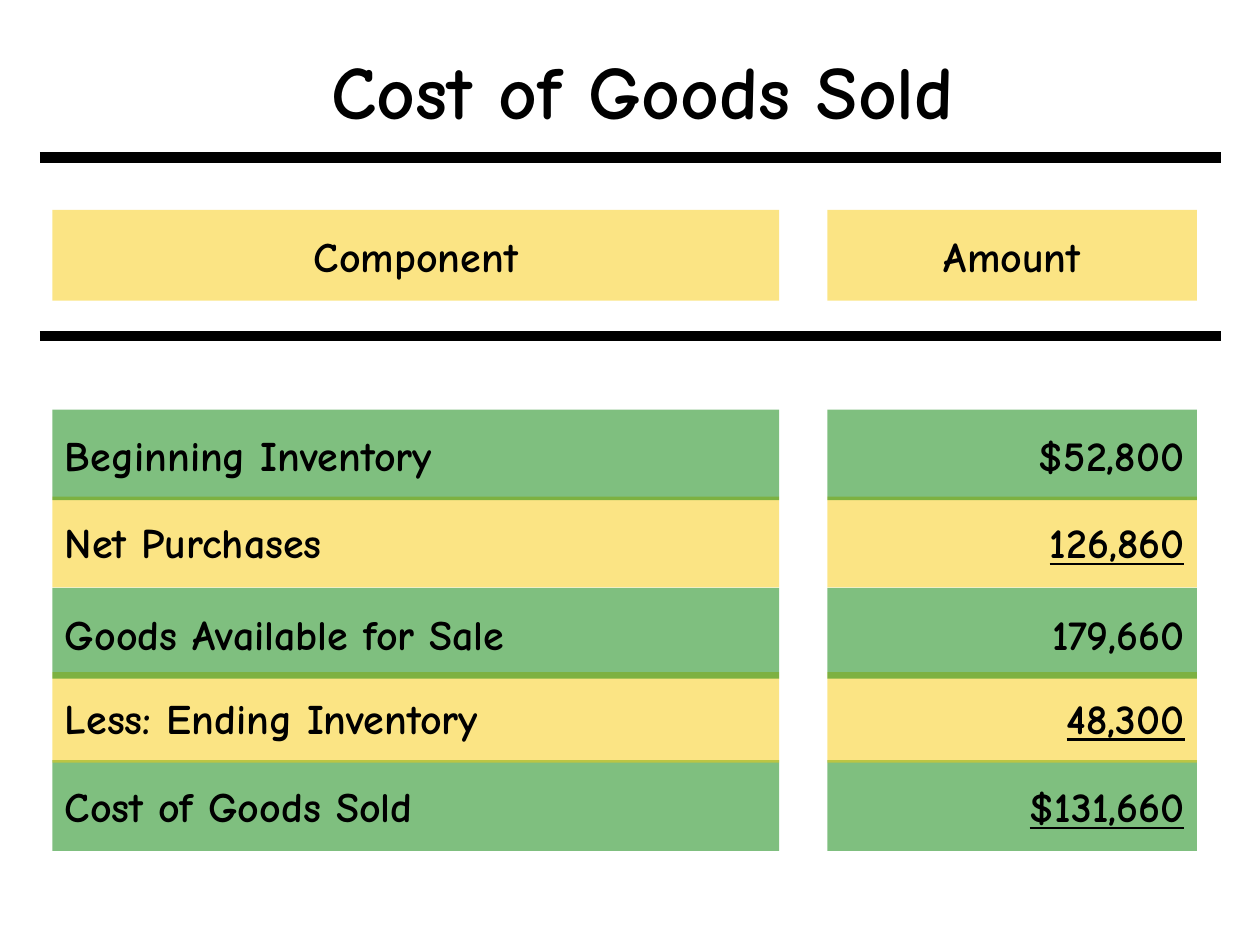
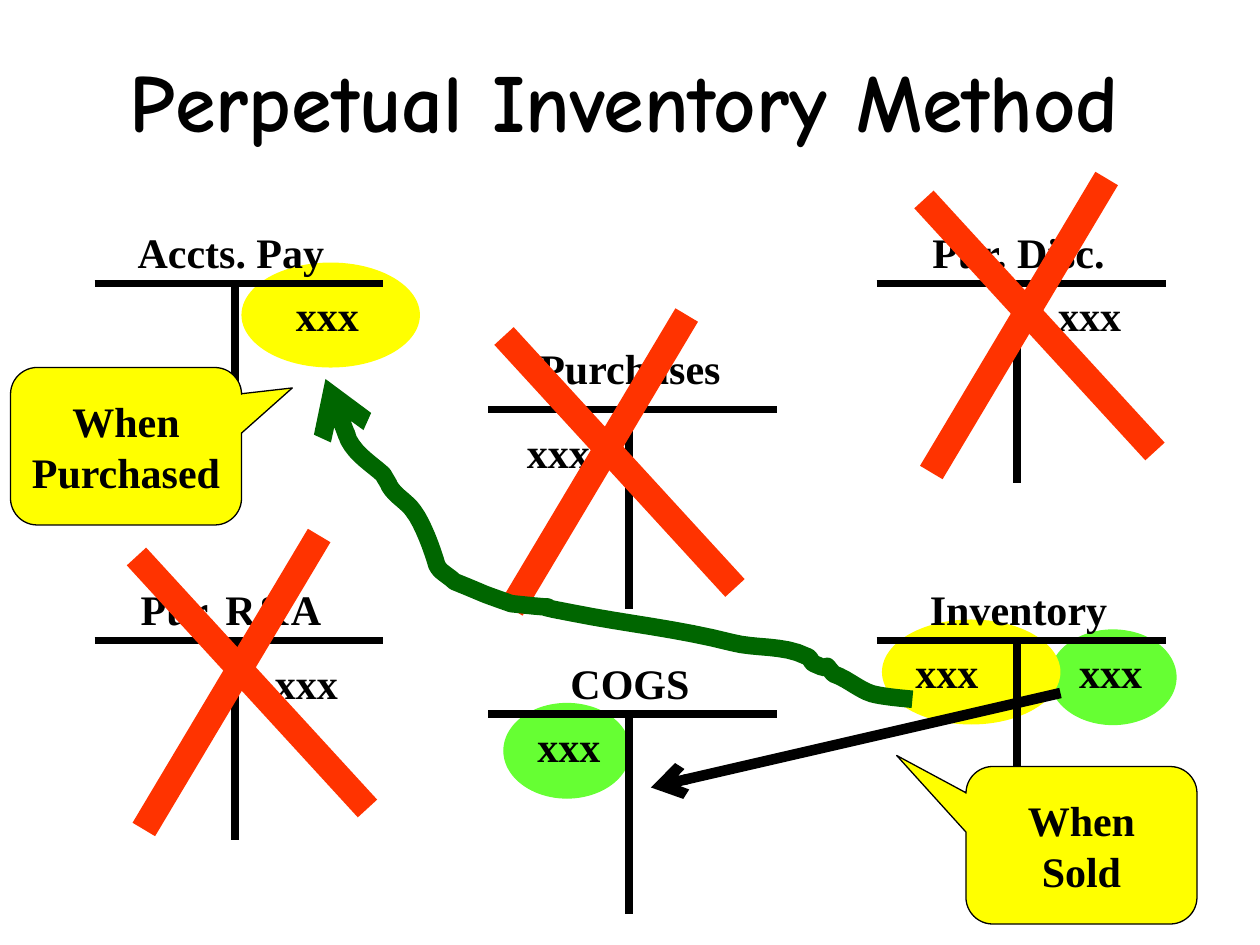
"""Build two slides on the cost of goods sold and the perpetual inventory method."""
import lxml.etree
import pptx
import pptx.dml.color
import pptx.enum.shapes
import pptx.enum.text
import pptx.oxml.ns
import pptx.util

RGB = pptx.dml.color.RGBColor
SHAPE = pptx.enum.shapes.MSO_SHAPE
ALIGN = pptx.enum.text.PP_ALIGN
ANCHOR = pptx.enum.text.MSO_ANCHOR

BLACK = RGB(0x00, 0x00, 0x00)
GREEN = RGB(0x00, 0x80, 0x00)
GOLD = RGB(0xF8, 0xCB, 0x0A)
LIME = RGB(0x66, 0xFF, 0x33)
YELLOW = RGB(0xFF, 0xFF, 0x00)
RED = RGB(0xFF, 0x33, 0x00)
FOREST = RGB(0x00, 0x66, 0x00)

COLS, ROWS = 120, 90
COMIC, TIMES = "Comic Neue", "Times New Roman"


def add_node(parent, tag, **attrs):
    return lxml.etree.SubElement(parent, pptx.oxml.ns.qn(tag), attrs)


class Deck:
    """Hold the style and the current slide, and draw on a grid of cells."""

    def __init__(self):
        self.prs = pptx.Presentation()
        self.prs.slide_width = pptx.util.Inches(10)
        self.prs.slide_height = pptx.util.Inches(7.5)
        self.wide = self.prs.slide_width / COLS
        self.high = self.prs.slide_height / ROWS
        self.slide = None

    def start(self):
        self.slide = self.prs.slides.add_slide(self.prs.slide_layouts[6])

    def size(self, *cells):
        return [round(n * (self.high if i % 2 else self.wide)) for i, n in enumerate(cells)]

    def label(self, shape, text, font=TIMES, size=24, align=ALIGN.CENTER,
              anchor=ANCHOR.MIDDLE, under=None):
        frame = shape.text_frame
        for key, val in {"word_wrap": True, "vertical_anchor": anchor}.items():
            setattr(frame, key, val)
        para = frame.paragraphs[0]
        para.alignment = align
        run = para.add_run()
        run.text = text
        style = {"name": font, "size": pptx.util.Pt(size), "bold": True, "underline": under}
        for key, val in style.items():
            setattr(run.font, key, val)
        run.font.color.rgb = BLACK

    def text(self, box, words, **style):
        self.label(self.slide.shapes.add_textbox(*self.size(*box)), words, **style)

    def title(self, box, words, size):
        self.text(box, words, font=COMIC, size=size)

    def block(self, kind, box, fill, edge=None, alpha=None):
        shape = self.slide.shapes.add_shape(kind, *self.size(*box))
        shape.shadow.inherit = False
        shape.fill.solid()
        shape.fill.fore_color.rgb = fill
        if alpha:
            tint = shape.element.spPr.find(".//" + pptx.oxml.ns.qn("a:srgbClr"))
            add_node(tint, "a:alpha", val=str(alpha * 1000))
        if edge is None:
            shape.line.fill.background()
        else:
            self.stroke(shape, edge, 0.75)
        return shape

    def stroke(self, shape, color, width, arrow=False):
        shape.line.color.rgb = color
        shape.line.width = pptx.util.Pt(width)
        if arrow:
            line = shape.element.spPr.find(pptx.oxml.ns.qn("a:ln"))
            add_node(line, "a:tailEnd", type="arrow")

    def line(self, ends, color=BLACK, width=4.5, arrow=False):
        kind = pptx.enum.shapes.MSO_CONNECTOR.STRAIGHT
        link = self.slide.shapes.add_connector(kind, *self.size(*ends))
        self.stroke(link, color, width, arrow)
        add_node(link.element.spPr, "a:effectLst")

    def curve(self, start, parts, color, width, steps=8):
        dots, last = [], start
        for c1, c2, end in parts:
            for step in range(1, steps + 1):
                t = step / steps
                u = 1 - t
                dots.append(tuple(self.size(*(
                    u**3 * a + 3 * u * u * t * b + 3 * u * t * t * c + t**3 * d
                    for a, b, c, d in zip(last, c1, c2, end)))))
            last = end
        pen = self.slide.shapes.build_freeform(*self.size(*start))
        pen.add_line_segments(dots, close=False)
        shape = pen.convert_to_shape()
        shape.shadow.inherit = False
        shape.fill.background()
        self.stroke(shape, color, width, arrow=True)

    def band(self, top, fill, cells, aligns, under=None):
        for (left, wide), words, align in zip(((5, 69.2), (78.8, 35.2)), cells, aligns):
            shape = self.block(SHAPE.RECTANGLE, (left, top, wide, 8.64), fill, alpha=50)
            line = under if align == ALIGN.RIGHT else None
            self.label(shape, words, font=COMIC, align=align, under=line)

    def account(self, name, left, top, spot):
        mid = left + 13.4
        self.line((mid, top, mid, top + 19))
        self.line((left, top, left + 27.5, top))
        self.text((*spot, 24, 6), name, anchor=ANCHOR.TOP)

    def cross(self, x, y):
        self.line((x, y, x + 22, y + 24), RED, 15)
        self.line((x + 17.4, y - 2, x + 0.7, y + 26), RED, 15)

    def callout(self, spot, words, tip):
        shape = self.block(SHAPE.ROUNDED_RECTANGULAR_CALLOUT, (*spot, 22, 15), YELLOW, BLACK)
        for i, val in enumerate((*tip, 0.17)):
            shape.adjustments[i] = val
        self.label(shape, words)


def cost_slide(deck):
    deck.start()
    deck.title((10.2, 1, 102, 15), "Cost of Goods Sold", 43)
    items = (
        (39, "Beginning Inventory", "$52,800", None),
        (47.3, "Net Purchases", "126,860", True),
        (56, "Goods Available for Sale", "179,660", None),
        (64, "Less: Ending Inventory", "48,300", True),
        (72.4, "Cost of Goods Sold", "$131,660", True),
    )
    for i, (top, part, amount, under) in reversed(list(enumerate(items))):
        deck.band(top, (GREEN, GOLD)[i % 2], (part, amount), (ALIGN.LEFT, ALIGN.RIGHT), under)
    deck.band(20, GOLD, ("Component", "Amount"), (ALIGN.CENTER, ALIGN.CENTER))
    for row in (15, 32):
        deck.line((3.8, row, 116.3, row), width=6)


def method_slide(deck):
    deck.start()
    for spot in ((48, 67), (100, 60)):
        deck.block(SHAPE.OVAL, (*spot, 12, 9), LIME, LIME)
    for spot in ((84, 59), (23, 25)):
        deck.block(SHAPE.OVAL, (*spot, 17, 10), YELLOW)
    deck.title((1, 2, 117, 15), "Perpetual Inventory Method", 47)
    for name, left, top, spot in (
        ("Accts. Pay", 9, 27, (10, 21)),
        ("Pur. R&A", 9, 61, (10, 55)),
        ("Purchases", 46.5, 39, (48, 32)),
        ("Pur. Disc.", 83.5, 27, (85, 21)),
        ("Inventory", 83.5, 61, (85, 55)),
        ("COGS", 46.5, 68, (48, 62)),
    ):
        deck.account(name, left, top, spot)
    for spot in ((86, 61), (49, 40), (27, 27), (25, 62), (99.6, 27), (50, 68), (101.6, 61)):
        deck.text((*spot, 9, 6), "xxx", align=ALIGN.LEFT, anchor=ANCHOR.TOP)
    for spot in ((13, 53), (48, 32), (88, 19)):
        deck.cross(*spot)
    deck.line((101, 66, 62, 75), width=6, arrow=True)
    deck.curve((86.9, 66.6), (
        ((85.8, 66.5), (84.7, 66.4), (83.6, 66.2)),
        ((82.1, 66), (80.9, 64.7), (79.4, 64.2)),
        ((78, 62.6), (79.8, 64.3), (77.5, 63.2)),
        ((77.2, 63), (77.2, 62.6), (76.8, 62.5)),
        ((74.6, 61.4), (72, 61.8), (69.7, 61.2)),
        ((64.7, 59.9), (59.6, 59.4), (54.6, 58.4)),
        ((48.1, 57.2), (56.3, 58.3), (48.7, 57.5)),
        ((45, 56.2), (46.8, 56.8), (43.3, 55.4)),
        ((42.7, 54.8), (41.9, 54.5), (41.6, 53.8)),
        ((41.2, 52.4), (40.3, 49.9), (39.4, 48.7)),
        ((38.8, 47.8), (37.7, 47.3), (37.1, 46.3)),
        ((37, 46), (36.7, 45.6), (36.5, 45.2)),
        ((35.4, 44.2), (34, 43.4), (33.2, 41.9)),
        ((32.5, 40.2), (32.4, 37.6), (31, 36.1)),
    ), FOREST, 10)
    deck.callout((1, 35), "When Purchased", (0.72, -0.37))
    deck.callout((92, 73), "When Sold", (-0.8, -0.57))


def main():
    deck = Deck()
    cost_slide(deck)
    method_slide(deck)
    deck.prs.save("out.pptx")


if __name__ == "__main__":
    main()
